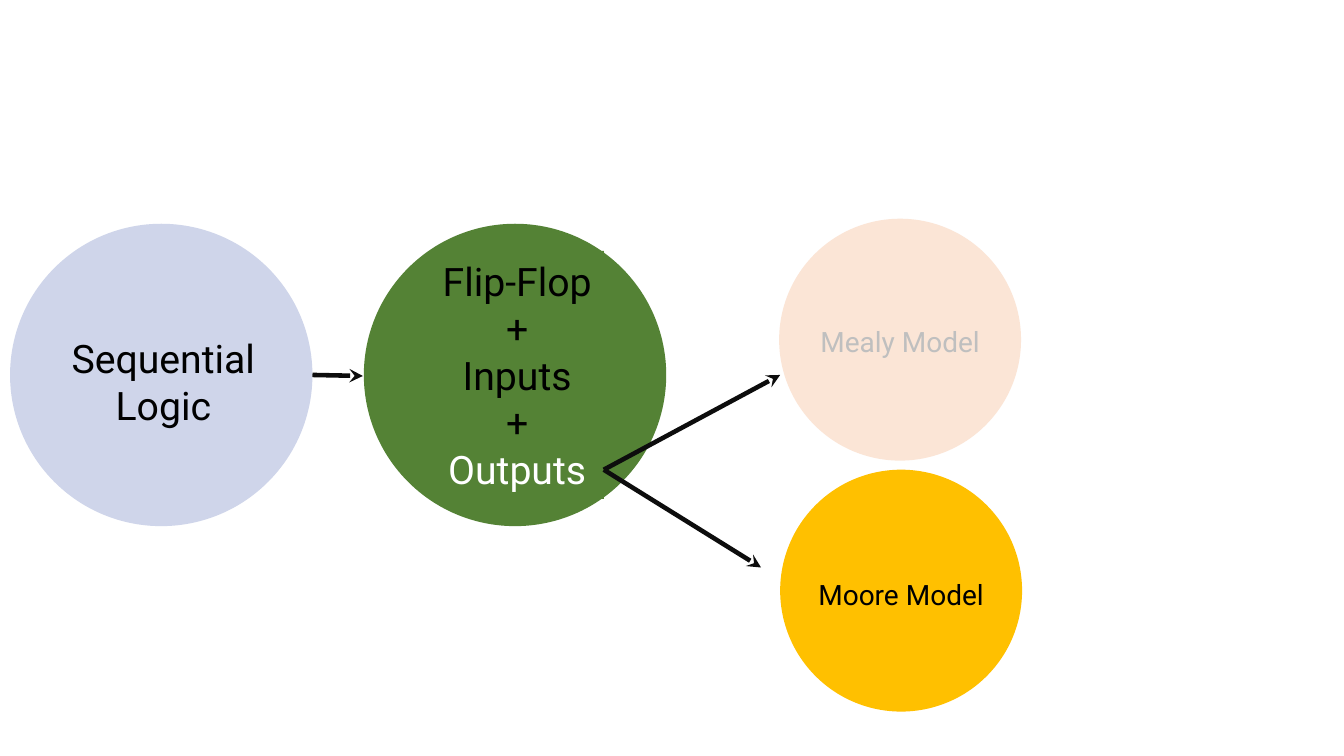
from dataclasses import dataclass

from lxml.etree import SubElement
from pptx import Presentation
from pptx.dml.color import RGBColor
from pptx.enum.shapes import MSO_CONNECTOR as Connector, MSO_SHAPE as Preset
from pptx.enum.text import MSO_AUTO_SIZE as AutoSize, PP_ALIGN as Align
from pptx.oxml.ns import qn
from pptx.slide import Slide
from pptx.util import Pt

FONT = "Roboto"
BLACK, WHITE, GREY, INK = "000000", "FFFFFF", "BFBFBF", "0D0D0D"


@dataclass
class Line:
    text: str
    color: str = BLACK


@dataclass
class Bubble:
    left: float
    top: float
    diameter: float
    fill: str
    label: tuple[float, float, float, float]  # left, top, width, height
    lines: list[Line]
    size: float
    label_filled: bool = True


@dataclass
class Arrow:
    start: tuple[float, float]
    end: tuple[float, float]


BUBBLES = [
    Bubble(7.2, 159.84, 216, "CFD5EA", (43.92, 235.44, 145.44, 74.88),
           [Line("Sequential"), Line("Logic")], 28, label_filled=False),
    Bubble(259.92, 159.84, 216, "548235", (307.44, 179.28, 123.84, 177.12),
           [Line("Flip-Flop"), Line("+"), Line("Inputs"), Line("+"),
            Line("Outputs", WHITE)], 28),
    Bubble(556.56, 156.24, 172.8, "FBE5D6", (577.44, 228.24, 131.04, 31.68),
           [Line("Mealy Model", GREY)], 20),
    Bubble(557.28, 335.52, 172.8, "FFC000", (575.28, 408.96, 136.8, 31.68),
           [Line("Moore Model")], 20),
]

OUTPUTS = (431.28, 335.52)
ARROWS = [
    Arrow((223.2, 267.84), (259.2, 268.56)),
    Arrow(OUTPUTS, (557.28, 267.84)),
    Arrow(OUTPUTS, (543.6, 405.36)),
]


def rgb(value: str) -> RGBColor:
    return RGBColor.from_string(value)


def add_filled(shapes, preset: Preset, frame: tuple, fill: str):
    shape = shapes.add_shape(preset, *map(Pt, frame))
    shape.shadow.inherit = False
    shape.fill.solid()
    shape.fill.fore_color.rgb = rgb(fill)
    shape.line.fill.background()
    return shape


def draw_bubble(page: Slide, bubble: Bubble) -> None:
    shapes = page.shapes.add_group_shape().shapes
    circle = (bubble.left, bubble.top, bubble.diameter, bubble.diameter)
    add_filled(shapes, Preset.OVAL, circle, bubble.fill)

    # Label inside the circle
    if bubble.label_filled:
        box = add_filled(shapes, Preset.RECTANGLE, bubble.label, bubble.fill)
    else:
        box = shapes.add_textbox(*map(Pt, bubble.label))
    frame = box.text_frame
    frame.word_wrap = False
    frame.auto_size = AutoSize.SHAPE_TO_FIT_TEXT
    for index, line in enumerate(bubble.lines):
        para = frame.add_paragraph() if index else frame.paragraphs[0]
        para.text = line.text
        para.alignment = Align.CENTER
        para.font.name = FONT
        para.font.size = Pt(bubble.size)
        para.font.color.rgb = rgb(line.color)


def draw_arrow(page: Slide, arrow: Arrow) -> None:
    connector = page.shapes.add_connector(
        Connector.STRAIGHT, *map(Pt, arrow.start + arrow.end))
    connector.line.color.rgb = rgb(INK)
    connector.line.width = Pt(3.25)
    SubElement(connector.line._get_or_add_ln(), qn("a:tailEnd"), type="stealth")
    SubElement(connector._element.spPr, qn("a:effectLst"))


def main() -> None:
    deck = Presentation()
    deck.slide_width, deck.slide_height = Pt(960), Pt(540)
    page = deck.slides.add_slide(deck.slide_layouts[6])
    for bubble in BUBBLES:
        draw_bubble(page, bubble)
    for arrow in ARROWS:
        draw_arrow(page, arrow)
    deck.save("out.pptx")


if __name__ == "__main__":
    main()
